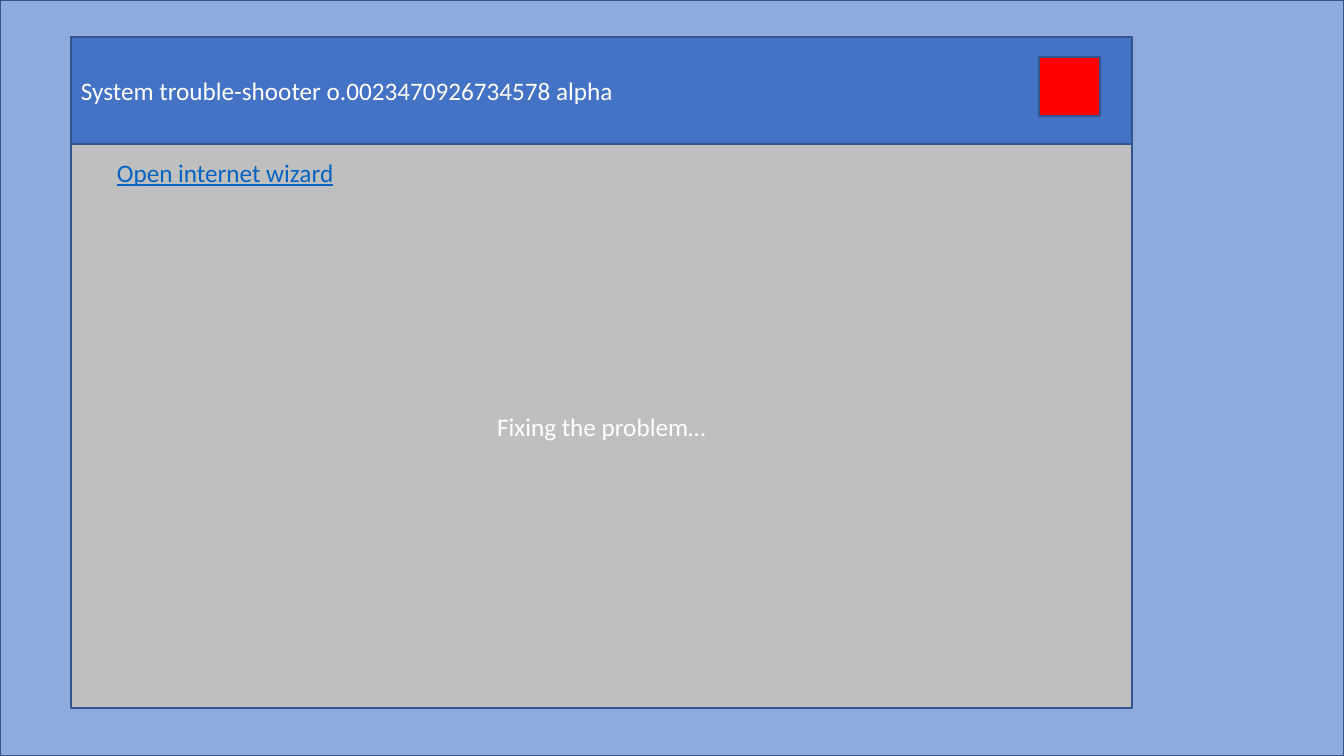
import pptx
import pptx.util
from pptx.dml.color import RGBColor
from pptx.enum.shapes import MSO_SHAPE
from pptx.enum.text import MSO_ANCHOR, MSO_AUTO_SIZE, PP_ALIGN

WIDE, HIGH = 1344, 756
LEFT, SPAN = 71, 1061
TOP, BAR, BODY = 37, 107, 564


def px(n):
    return pptx.util.Emu(round(n * 914400 / 100.8))


def color(code):
    return RGBColor.from_string(code)


def write(shape, text, code, align=PP_ALIGN.LEFT):
    shape.text_frame.word_wrap = True
    para = shape.text_frame.paragraphs[0]
    para.text = text
    para.alignment = align
    para.font.name = "Calibri"
    para.font.size = pptx.util.Pt(18)
    para.font.color.rgb = color(code)
    return para


def add_box(slide, x, y, w, h, fill):
    box = slide.shapes.add_shape(MSO_SHAPE.RECTANGLE, px(x), px(y), px(w), px(h))
    box.shadow.inherit = False
    box.fill.solid()
    box.fill.fore_color.rgb = color(fill)
    box.line.color.rgb = color("325491")
    box.line.width = pptx.util.Pt(1)
    box.text_frame.vertical_anchor = MSO_ANCHOR.MIDDLE
    return box


def add_link(slide, x, y, w, h, text):
    """Add underlined text in link blue."""
    box = slide.shapes.add_textbox(px(x), px(y), px(w), px(h))
    box.text_frame.auto_size = MSO_AUTO_SIZE.SHAPE_TO_FIT_TEXT
    write(box, text, "0563C1").font.underline = True


def main():
    deck = pptx.Presentation()
    deck.slide_width, deck.slide_height = px(WIDE), px(HIGH)
    slide = deck.slides.add_slide(deck.slide_layouts[6])

    add_box(slide, 0, 0, WIDE, HIGH, "8FAADC")
    panel = add_box(slide, LEFT, TOP + BAR, SPAN, BODY, "BFBFBF")
    write(panel, "Fixing the problem…", "FFFFFF", PP_ALIGN.CENTER)
    title = add_box(slide, LEFT, TOP, SPAN, BAR, "4472C4")
    write(title, "System trouble-shooter o.0023470926734578 alpha", "FFFFFF")
    add_box(slide, 1039, 57, 61, 59, "FF0000")
    add_link(slide, 107, 152, 741, 40, "Open internet wizard")

    deck.save("out.pptx")


if __name__ == "__main__":
    main()
